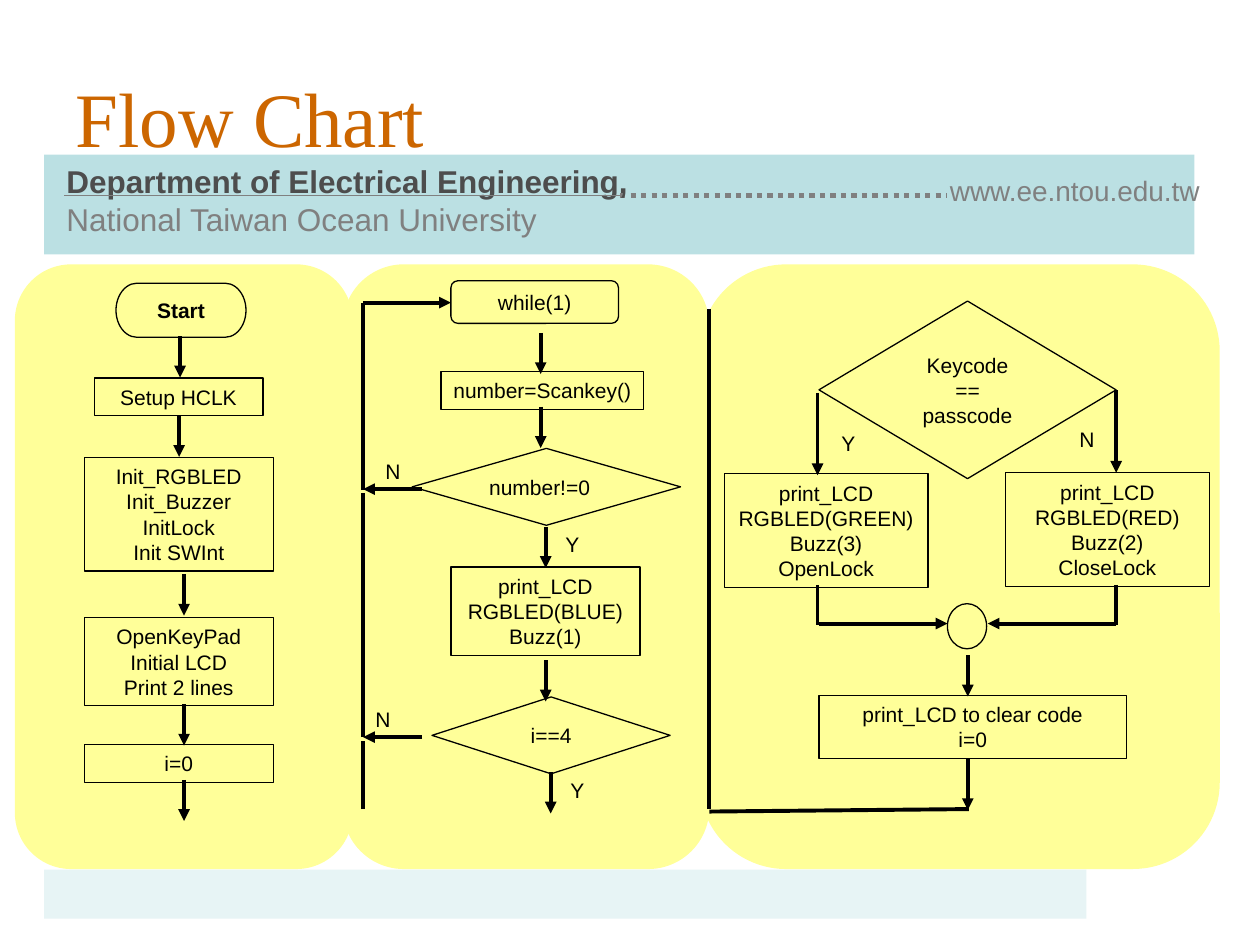
import pptx
import pptx.dml.color
import pptx.enum.dml
import pptx.enum.shapes
import pptx.enum.text
import pptx.oxml
import pptx.oxml.ns
import pptx.util

Cm = pptx.util.Cm
Pt = pptx.util.Pt
SHAPE = pptx.enum.shapes.MSO_SHAPE
ALIGN = pptx.enum.text.PP_ALIGN
ANCHOR = pptx.enum.text.MSO_ANCHOR
DOTTED = pptx.enum.dml.MSO_LINE.ROUND_DOT
STEP = 0.83  # length of the short arrow between two steps


def rgb(value):
    return pptx.dml.color.RGBColor.from_string(value)


def add_xml(parent, tag, **attributes):
    element = pptx.oxml.parse_xml(
        f"<a:{tag} {pptx.oxml.ns.nsdecls('a')}/>")
    for name, value in attributes.items():
        element.set(name, value)
    parent.append(element)


class FlowSlide:
    font = "Arial"
    ink = "000000"
    grey = "808080"

    def __init__(self, prs):
        self.slide = prs.slides.add_slide(prs.slide_layouts[5])
        self.shapes = self.slide.shapes

    def run(self, p, text, size=12, color=ink, bold=False, font=font):
        r = p.add_run()
        r.text = text
        r.font.name = font
        r.font.size = Pt(size)
        r.font.bold = bold
        r.font.color.rgb = rgb(color)

    def title(self, text, x, y, w, h):
        sp = self.shapes.title
        sp.left, sp.top, sp.width, sp.height = map(Cm, (x, y, w, h))
        tf = sp.text_frame
        tf.vertical_anchor = ANCHOR.MIDDLE
        p = tf.paragraphs[0]
        p.alignment = ALIGN.LEFT
        self.run(p, text, 44, "CC6600", font="Times New Roman")

    def area(self, kind, x, y, w, h, fill):
        """Add a filled background shape without an outline."""
        sp = self.shapes.add_shape(kind, Cm(x), Cm(y), Cm(w), Cm(h))
        sp.shadow.inherit = False
        sp.fill.solid()
        sp.fill.fore_color.rgb = rgb(fill)
        sp.line.fill.background()

    def node(self, kind, x, y, w, h, lines=(), bold=False, align=ALIGN.CENTER):
        """Add an outlined flow chart step, one paragraph per line."""
        sp = self.shapes.add_shape(kind, Cm(x), Cm(y), Cm(w), Cm(h))
        sp.shadow.inherit = False
        sp.fill.background()
        sp.line.color.rgb = rgb(self.ink)
        sp.line.width = Pt(0.75)
        tf = sp.text_frame
        tf.word_wrap = True
        tf.vertical_anchor = ANCHOR.MIDDLE
        tf.margin_left = tf.margin_right = Cm(0.2)
        for i, line in enumerate(lines):
            p = tf.add_paragraph() if i else tf.paragraphs[0]
            p.alignment = align
            self.run(p, line, bold=bold)

    def text(self, x, y, w, h):
        """Add an empty text box and return its paragraph."""
        tf = self.shapes.add_textbox(Cm(x), Cm(y), Cm(w), Cm(h)).text_frame
        tf.word_wrap = True
        return tf.paragraphs[0]

    def label(self, text, x, y):
        self.run(self.text(x, y, 0.8, 0.76), text)

    def line(self, x1, y1, x2, y2, color=ink, width=2.25, dash=None,
             arrow=False):
        sp = self.shapes.add_connector(
            pptx.enum.shapes.MSO_CONNECTOR.STRAIGHT,
            Cm(x1), Cm(y1), Cm(x2), Cm(y2))
        sp.line.color.rgb = rgb(color)
        sp.line.width = Pt(width)
        if dash:
            sp.line.dash_style = dash
        if arrow:
            add_xml(sp.line._get_or_add_ln(), "tailEnd", type="triangle")
        add_xml(sp._element.spPr, "effectLst")


PANELS = [(0.3, 6.81), (6.91, 7.39), (14.1, 10.49)]  # left, width

NODES = [
    (SHAPE.FLOWCHART_PROCESS, 1.9, 7.62, 3.4, 0.76, ["Setup HCLK"]),
    (SHAPE.FLOWCHART_PROCESS, 1.7, 9.22, 3.81, 2.29,
     ["Init_RGBLED", "Init_Buzzer", "InitLock", "Init SWInt"]),
    (SHAPE.FLOWCHART_PROCESS, 1.7, 12.45, 3.81, 1.78,
     ["OpenKeyPad", "Initial LCD", "Print 2 lines"]),
    (SHAPE.FLOWCHART_PROCESS, 1.7, 15.01, 3.81, 0.76, ["i=0"]),
    (SHAPE.FLOWCHART_ALTERNATE_PROCESS, 9.09, 5.66, 3.38, 0.86, ["while(1)"]),
    (SHAPE.FLOWCHART_PROCESS, 8.89, 7.49, 4.09, 0.76, ["number=Scankey()"]),
    (SHAPE.FLOWCHART_PROCESS, 9.09, 11.43, 3.81, 1.78,
     ["print_LCD", "RGBLED(BLUE)", "Buzz(1)"]),
    (SHAPE.FLOWCHART_DECISION, 8.71, 14.05, 4.8, 1.55, ["i==4"]),
    (SHAPE.FLOWCHART_DECISION, 16.51, 6.07, 5.99, 3.58,
     ["Keycode", "==", "passcode"]),
    (SHAPE.FLOWCHART_PROCESS, 14.6, 9.55, 4.11, 2.29,
     ["print_LCD", "RGBLED(GREEN)", "Buzz(3)", "OpenLock"]),
    (SHAPE.FLOWCHART_PROCESS, 20.27, 9.53, 4.11, 2.29,
     ["print_LCD", "RGBLED(RED)", "Buzz(2)", "CloseLock"]),
    (SHAPE.FLOWCHART_CONNECTOR, 19.1, 12.17, 0.79, 0.91),
    (SHAPE.FLOWCHART_PROCESS, 16.51, 14.02, 6.2, 1.27,
     ["print_LCD to clear code", "i=0"]),
]

STEPS = [  # start of each short downward arrow
    (3.63, 6.78), (3.61, 8.38), (3.71, 11.58), (3.71, 14.2), (3.71, 15.72),
    (10.9, 6.71), (10.9, 8.2), (11, 10.62), (11, 13.31), (11.1, 15.57),
    (19.51, 13.21),
]

ARROWS = [
    (8.51, 9.86, 7.32, 9.86), (8.51, 14.86, 7.32, 14.86),
    (7.32, 6.1, 9.09, 6.1),
    (16.48, 7.92, 16.48, 9.58), (22.5, 7.87, 22.5, 9.53),
    (16.51, 12.57, 19.1, 12.57), (22.5, 12.57, 19.91, 12.57),
    (19.51, 15.29, 19.51, 16.33),
]

LINES = [
    (7.32, 9.88, 7.32, 6.1), (7.32, 14.86, 7.32, 9.93),
    (7.32, 16.31, 7.32, 14.94),
    (16.48, 11.79, 16.48, 12.6), (22.5, 11.79, 22.5, 12.6),
    (14.3, 16.31, 14.3, 6.22), (19.53, 16.31, 14.3, 16.36),
]

LABELS = [
    ("N", 7.52, 9.12), ("Y", 11.15, 10.59), ("N", 7.32, 14.12),
    ("Y", 11.25, 15.54), ("Y", 16.71, 8.56), ("N", 21.51, 8.48),
]


def add_header(s):
    s.area(SHAPE.RECTANGLE, 0.89, 17.53, 21.01, 0.99, "E7F4F5")
    s.area(SHAPE.RECTANGLE, 0.89, 3.12, 23.19, 2.01, "BBE0E3")
    s.line(12.5, 3.94, 19.1, 3.94, s.grey, 3, DOTTED)
    p = s.text(1.09, 3.15, 14.2, 1.78)
    s.run(p, "Department of Electrical Engineering,", 18, "4D4D4D", True)
    p.add_line_break()
    s.run(p, "National Taiwan Ocean University", 18, s.grey)
    s.line(12.5, 3.94, 1.3, 3.94, s.grey, 0.75)
    s.run(s.text(18.9, 3.38, 5.64, 0.94), "www.ee.ntou.edu.tw", 16, s.grey)
    s.title("Flow Chart", 1.27, 0.76, 22.86, 3.18)


def add_flow(s):
    for x, w in PANELS:
        s.area(SHAPE.FLOWCHART_ALTERNATE_PROCESS, x, 5.33, w, 12.19, "FFFF99")
    s.node(SHAPE.FLOWCHART_TERMINATOR, 2.34, 5.71, 2.62, 1.09, ["Start"],
           bold=True)
    s.node(SHAPE.FLOWCHART_DECISION, 8.31, 9.04, 5.41, 1.55, ["number!=0"],
           align=ALIGN.LEFT)
    for node in NODES:
        s.node(*node)
    for x, y in STEPS:
        s.line(x, y, x, y + STEP, arrow=True)
    for ends in ARROWS:
        s.line(*ends, arrow=True)
    for ends in LINES:
        s.line(*ends)
    for label in LABELS:
        s.label(*label)


def main():
    prs = pptx.Presentation()
    prs.slide_width, prs.slide_height = Cm(25.4), Cm(19.05)
    s = FlowSlide(prs)
    add_header(s)
    add_flow(s)
    prs.save("out.pptx")


if __name__ == "__main__":
    main()
